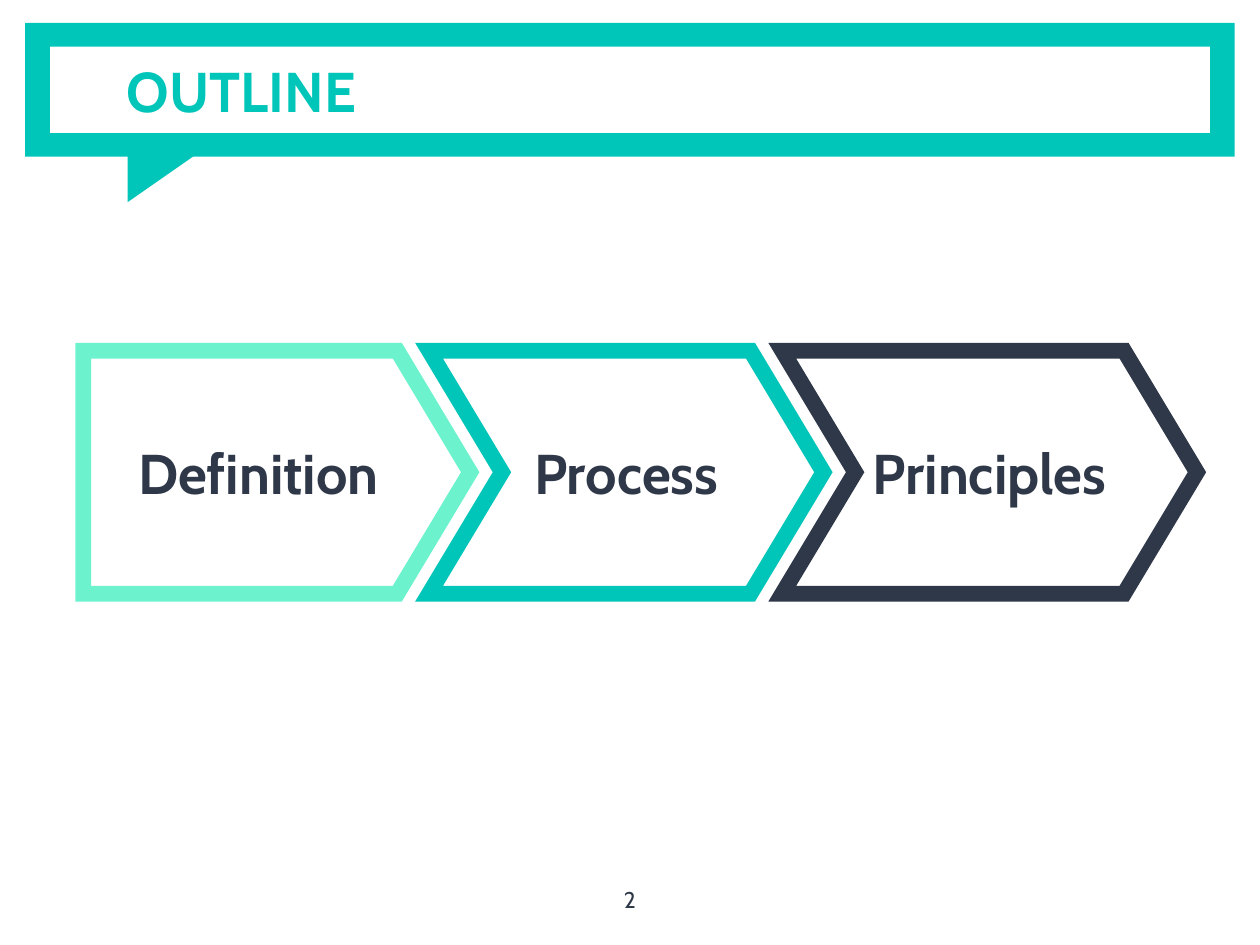
from lxml.etree import SubElement
from pptx import Presentation
from pptx.dml.color import RGBColor
from pptx.enum.shapes import MSO_SHAPE as Shape
from pptx.enum.text import MSO_ANCHOR as Anchor, PP_ALIGN as Align
from pptx.oxml.ns import qn
from pptx.util import Cm, Pt

TEAL = RGBColor(0x00, 0xC5, 0xB9)
MINT = RGBColor(0x6C, 0xF3, 0xCE)
NAVY = RGBColor(0x2F, 0x38, 0x48)
WHITE = RGBColor(0xFF, 0xFF, 0xFF)
FONT = "Cabin"
INSET = 0.25
STEP_OVERLAP = 0.83

# Label, outline colour, shape kind, width in cm
STEPS = [
    ("Definition", MINT, Shape.PENTAGON, 7.8),
    ("Process", TEAL, Shape.CHEVRON, 7.95),
    ("Principles", NAVY, Shape.CHEVRON, 8.36),
]


def write_text(shape, text, size, color, bold=False, align=Align.CENTER, anchor=Anchor.MIDDLE):
    frame = shape.text_frame
    frame.word_wrap = True
    frame.vertical_anchor = anchor
    frame.margin_left = frame.margin_right = Cm(INSET)
    frame.margin_top = frame.margin_bottom = Cm(INSET)
    paragraph = frame.paragraphs[0]
    paragraph.text = text
    paragraph.alignment = align
    font = paragraph.font
    font.name, font.size, font.bold = FONT, Pt(size), bold
    font.color.rgb = color


def add_text(slide, left, top, width, height, text, size, color, **style):
    box = slide.shapes.add_textbox(Cm(left), Cm(top), Cm(width), Cm(height))
    write_text(box, text, size, color, **style)


def add_filled_shape(slide, kind, left, top, width, height, color):
    shape = slide.shapes.add_shape(kind, Cm(left), Cm(top), Cm(width), Cm(height))
    shape.shadow.inherit = False
    shape.fill.solid()
    shape.fill.fore_color.rgb = color
    shape.line.fill.background()
    return shape


def add_title_banner(slide, left, top, width, height, title):
    """Draw a framed title shaped like a speech bubble."""
    border_x, border_y = 0.5, 0.48
    add_filled_shape(slide, Shape.RECTANGLE, left, top, width, height, TEAL)
    tail = add_filled_shape(slide, Shape.RIGHT_TRIANGLE, left + 2.33, top + 2.13, 1.22, 1.75, TEAL)
    tail.rotation = 90
    add_filled_shape(slide, Shape.RECTANGLE, left + border_x, top + border_y,
                     width - 2 * border_x, height - 2 * border_y, WHITE)
    text_indent = 1.8
    add_text(slide, left + text_indent, top, width - text_indent - border_x, height,
             title, 32, TEAL, bold=True, align=Align.LEFT)


def add_step(slide, kind, left, top, width, height, label, color):
    shape = slide.shapes.add_shape(kind, Cm(left), Cm(top), Cm(width), Cm(height))
    shape.shadow.inherit = False
    shape.adjustments[0] = 0.3
    shape.fill.background()
    shape.line.color.rgb = color
    shape.line.width = Pt(9)
    outline = shape.line._get_or_add_ln()
    SubElement(outline, qn("a:miter"), lim="800000")
    write_text(shape, label, 32, NAVY, bold=True)


def add_process(slide, left, top, height, steps):
    """Chain the steps from left to right, each tucked into the one before."""
    for label, color, kind, width in steps:
        add_step(slide, kind, left, top, width, height, label, color)
        left += width - STEP_OVERLAP


def main():
    presentation = Presentation()
    presentation.slide_width, presentation.slide_height = Cm(25.4), Cm(19.05)
    slide = presentation.slides.add_slide(presentation.slide_layouts[6])
    add_title_banner(slide, 0.51, 0.46, 24.38, 2.7, "OUTLINE")
    add_process(slide, 1.68, 7.07, 4.9, STEPS)
    add_text(slide, 11.94, 17.6, 1.52, 1.45, "2", 13, NAVY, anchor=Anchor.TOP)
    presentation.save("out.pptx")


if __name__ == "__main__":
    main()
